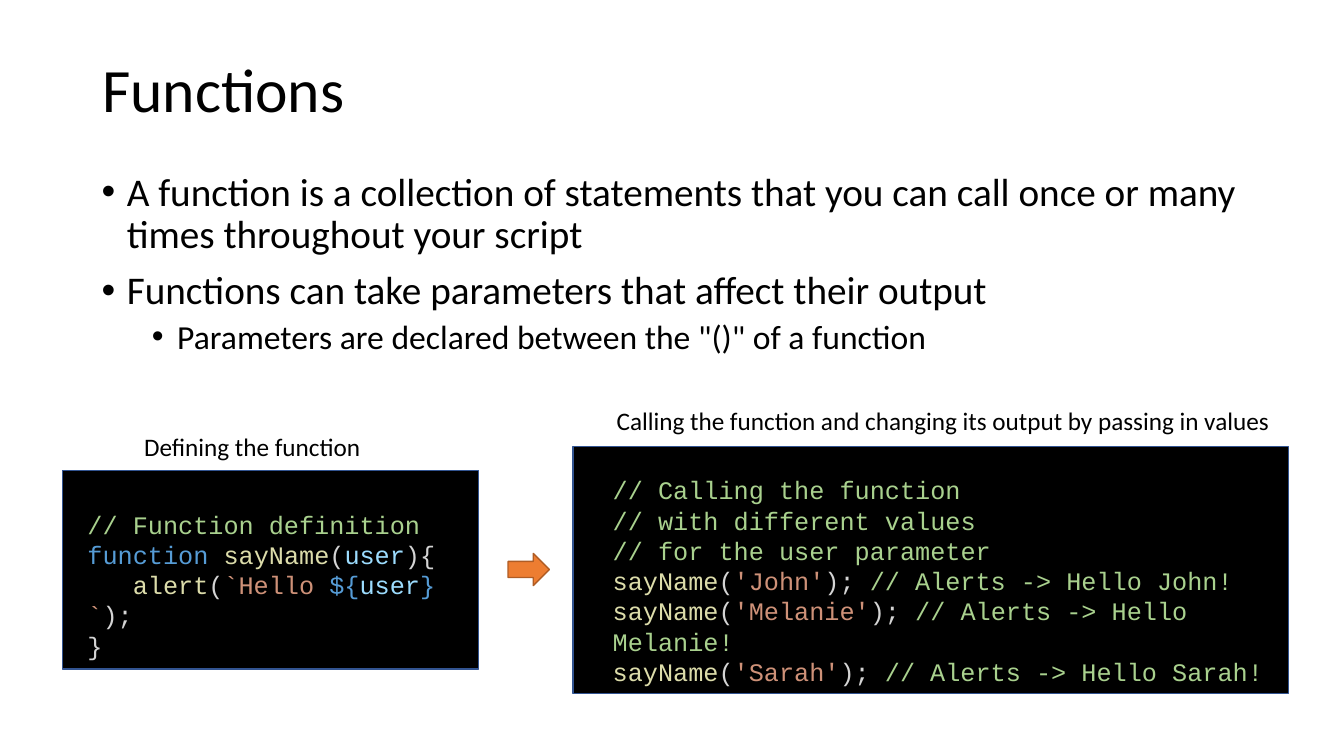
from collections import namedtuple
from dataclasses import dataclass

from lxml import etree
from pptx import Presentation
from pptx.dml.color import RGBColor
from pptx.enum.shapes import MSO_SHAPE
from pptx.enum.text import MSO_ANCHOR, MSO_AUTO_SIZE
from pptx.oxml.ns import qn
from pptx.util import Pt

RECTANGLE = MSO_SHAPE.RECTANGLE
RIGHT_ARROW = MSO_SHAPE.RIGHT_ARROW
TOP = MSO_ANCHOR.TOP
MIDDLE = MSO_ANCHOR.MIDDLE
NO_FIT = MSO_AUTO_SIZE.NONE
GROW = MSO_AUTO_SIZE.SHAPE_TO_FIT_TEXT

Box = namedtuple("Box", "left top width height")


@dataclass(frozen=True)
class Theme:
    body_font: str = "Calibri"
    code_font: str = "Courier New"
    title_size: int = 44
    bullet_sizes: tuple = (28, 24)
    small_size: int = 18
    text: str = "000000"
    panel: str = "000000"
    panel_line: str = "325491"
    arrow: str = "ED7D31"
    arrow_line: str = "AF5C24"
    comment: str = "A9D18E"
    keyword: str = "569CD6"
    call: str = "DCDCAA"
    plain: str = "D4D4D4"
    variable: str = "9CDCFE"
    string: str = "CE9178"


THEME = Theme()


def inside(box, offset):
    return Box(box.left + offset.left, box.top + offset.top, offset.width, offset.height)


def apply_format(target, values):
    for name, value in values.items():
        setattr(target, name, value)


def add_text_frame(page, box, **values):
    frame = page.shapes.add_textbox(*map(Pt, box)).text_frame
    apply_format(frame, {"word_wrap": True, "auto_size": NO_FIT,
                         "vertical_anchor": TOP, **values})
    return frame


def next_paragraph(frame, index):
    return frame.add_paragraph() if index else frame.paragraphs[0]


def add_span(para, text, size, font=THEME.body_font, color=THEME.text):
    span = para.add_run()
    span.text = text
    apply_format(span.font, {"name": font, "size": Pt(size)})
    span.font.color.rgb = RGBColor.from_string(color)


def add_preset(page, kind, box, fill, line):
    shape = page.shapes.add_shape(kind, *map(Pt, box))
    shape.shadow.inherit = False
    shape.fill.solid()
    shape.fill.fore_color.rgb = RGBColor.from_string(fill)
    shape.line.color.rgb = RGBColor.from_string(line)
    shape.line.width = Pt(1)


def add_title(page, box, text):
    para = add_text_frame(page, box, vertical_anchor=MIDDLE).paragraphs[0]
    para.line_spacing = 0.9
    add_span(para, text, THEME.title_size)


def add_bullets(page, box, items):
    frame = add_text_frame(page, box)
    for index, (level, text) in enumerate(items):
        para = next_paragraph(frame, index)
        apply_format(para, {"level": level, "line_spacing": 0.9,
                            "space_before": Pt(5 if level else 10)})
        properties = para._p.get_or_add_pPr()
        properties.set("marL", str(Pt(18 + 36 * level)))
        properties.set("indent", str(Pt(-18)))
        etree.SubElement(properties, qn("a:buFont")).set("typeface", "Arial")
        etree.SubElement(properties, qn("a:buChar")).set("char", "•")
        add_span(para, text, THEME.bullet_sizes[level])


def add_code(page, box, lines):
    frame = add_text_frame(page, box, auto_size=GROW)
    for index, (first_indent, tokens) in enumerate(lines):
        para = next_paragraph(frame, index)
        if first_indent:
            para._p.get_or_add_pPr().set("indent", str(Pt(first_indent)))
        for kind, text in tokens:
            add_span(para, text, THEME.small_size, THEME.code_font, getattr(THEME, kind))


def add_code_panel(page, box, caption, caption_offset, code_offset, lines):
    add_preset(page, RECTANGLE, box, THEME.panel, THEME.panel_line)
    add_code(page, inside(box, code_offset), lines)
    label = add_text_frame(page, inside(box, caption_offset), word_wrap=False, auto_size=GROW)
    add_span(label.paragraphs[0], caption, THEME.small_size)


def call_line(name):
    return (0, [("call", "sayName"), ("plain", "("), ("string", f"'{name}'"),
                ("plain", "); "), ("comment", f"// Alerts -> Hello {name}!")])


def comment_line(text):
    return (0, [("comment", f"// {text}")])


BULLETS = [
    (0, "A function is a collection of statements that you can call once or many "
        "times throughout your script"),
    (0, "Functions can take parameters that affect their output"),
    (1, 'Parameters are declared between the "()" of a function'),
]

DEFINITION = [
    comment_line("Function definition"),
    (0, [("keyword", "function "), ("call", "sayName"), ("plain", "("),
         ("variable", "user"), ("plain", "){")]),
    (32.4, [("call", "alert"), ("plain", "("), ("string", "`Hello "), ("keyword", "${"),
            ("variable", "user"), ("keyword", "}"), ("string", "`"), ("plain", ");")]),
    (0, [("plain", "}")]),
]

COMMENTS = ["Calling the function", "with different values", "for the user parameter"]
CALLS = [comment_line(text) for text in COMMENTS]
CALLS += [call_line(name) for name in ("John", "Melanie", "Sarah")]


def build_functions_slide(page):
    add_title(page, Box(66, 13.7, 828, 104.4), "Functions")
    add_bullets(page, Box(65.5, 119.5, 828, 140.4), BULLETS)
    add_code_panel(page, Box(44.6, 336.2, 297.4, 141.8), "Defining the function",
                   Box(51.2, -31.6, 171.4, 28.8), Box(10.8, 23.8, 290.9, 94.3), DEFINITION)
    add_preset(page, RIGHT_ARROW, Box(362.9, 395.3, 29.5, 23), THEME.arrow, THEME.arrow_line)
    add_code_panel(page, Box(409.4, 319, 510.8, 176.4),
                   "Calling the function and changing its output by passing in values",
                   Box(24, -33.2, 486.7, 28.8), Box(21.2, 16.5, 480.2, 138.2), CALLS)


deck = Presentation()
apply_format(deck, {"slide_width": Pt(960), "slide_height": Pt(540)})
build_functions_slide(deck.slides.add_slide(deck.slide_layouts[6]))
deck.save("out.pptx")
